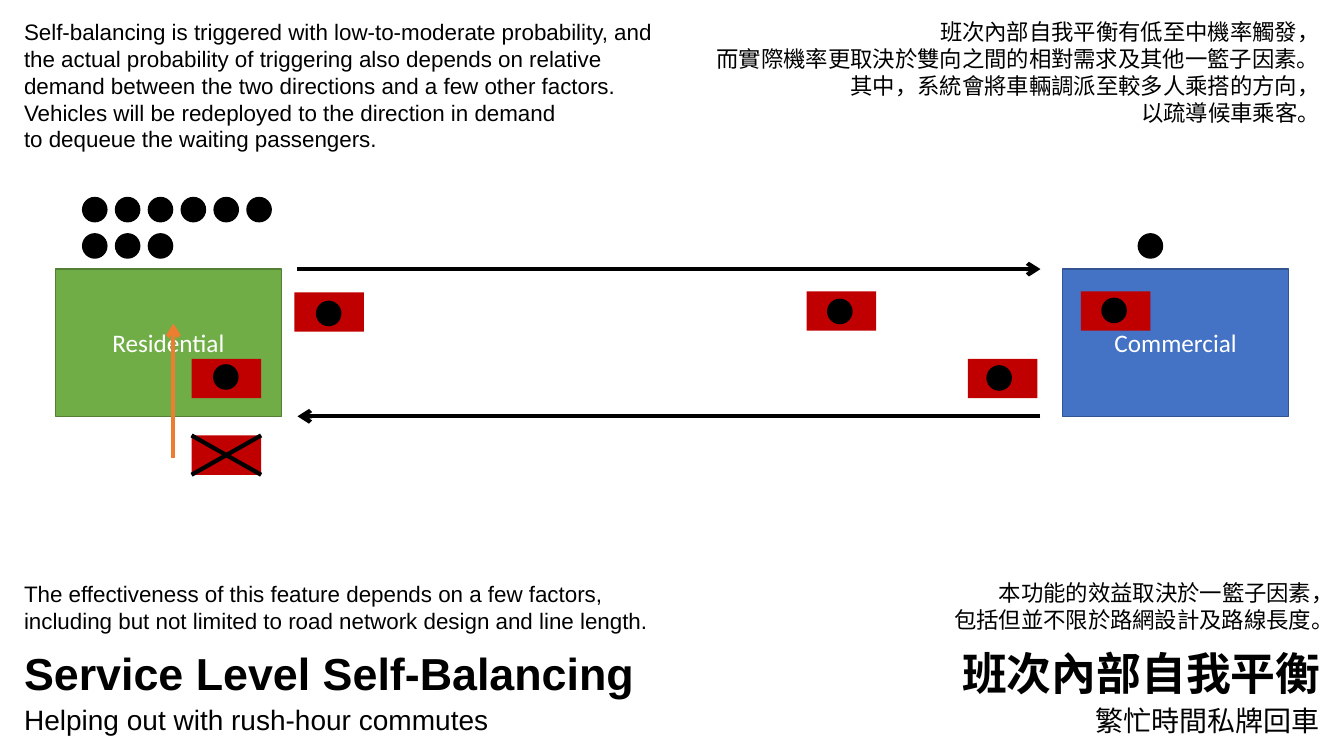
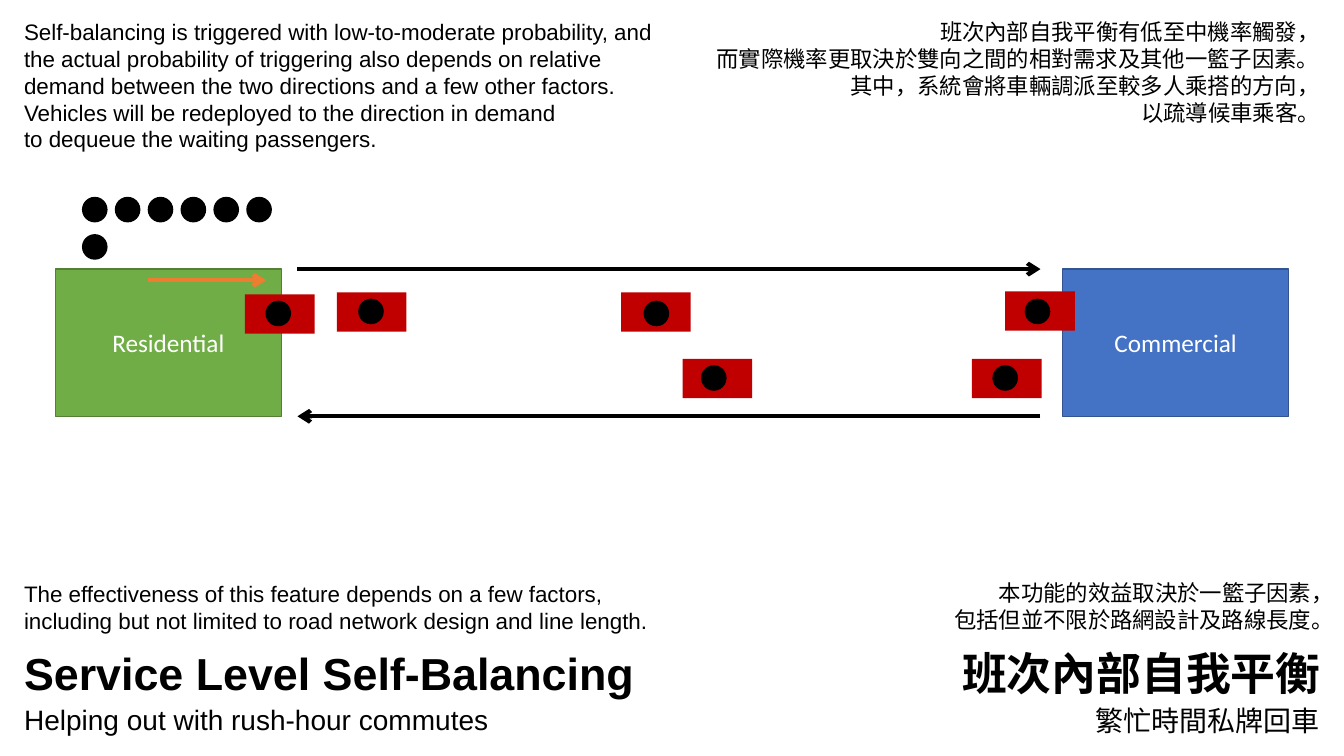
import copy
import pptx
import pptx.util
import pptx.dml.color
import pptx.enum.shapes
import pptx.enum.text
import pptx.oxml
import pptx.oxml.ns

Inches = pptx.util.Inches
Pt = pptx.util.Pt
KIND = pptx.enum.shapes.MSO_SHAPE
ALIGN = pptx.enum.text.PP_ALIGN
ANCHOR = pptx.enum.text.MSO_ANCHOR
COLORS = {"black": "000000", "white": "FFFFFF", "red": "C00000",
          "green": "70AD47", "moss": "538035",
          "blue": "4472C4", "navy": "325491", "orange": "ED7D31"}
RGB = {name: pptx.dml.color.RGBColor.from_string(code) for name, code in COLORS.items()}
LATIN, HAN = "Arial", "Noto Sans CJK TC"
NS = ' xmlns:a="http://schemas.openxmlformats.org/drawingml/2006/main"'
CAR_W, CAR_H, DOT = 0.69, 0.39, 0.24

# Shared text: left, top, width, height, size, bold, font, wording
# "\n" starts a paragraph, "\v" breaks a line
TEXTS = [
    (0.14, 6.36, 6.77, 0.64, 32, True, LATIN, "Service Level Self-Balancing"),
    (0.14, 6.92, 6.77, 0.44, 20, False, LATIN, "Helping out with rush-hour commutes"),
    (6.43, 6.36, 6.77, 0.64, 32, True, HAN, "班次內部自我平衡"),
    (6.42, 6.93, 6.77, 0.44, 20, False, HAN, "繁忙時間私牌回車"),
    (0.14, 0.13, 6.77, 1.45, 16, False, LATIN,
     "Self-balancing is triggered with low-to-moderate probability, and the actual "
     "probability of triggering also depends on relative demand between the two "
     "directions and a few other factors.\n"
     "Vehicles will be redeployed to the direction in demand\v"
     "to dequeue the waiting passengers."),
    (6.42, 0.13, 6.77, 1.18, 16, False, HAN,
     "班次內部自我平衡有低至中機率觸發,\n".replace(",", "\uff0c")
     + "而實際機率更取決於雙向之間的相對需求及其他一籃子因素。\n"
     "其中,系統會將車輛調派至較多人乘搭的方向,\v以疏導候車乘客。".replace(",", "\uff0c")),
    (0.14, 5.71, 6.77, 0.64, 16, False, LATIN,
     "The effectiveness of this feature depends on a few factors,\v"
     "including but not limited to road network design and line length."),
    (6.56, 5.70, 6.77, 0.64, 16, False, HAN,
     "本功能的效益取決於一籃子因素\uff0c\v包括但並不限於路網設計及路線長度。"),
]

# Zones: left, fill, edge, label
ZONES = [(0.55, "green", "moss", "Residential"), (10.54, "blue", "navy", "Commercial")]

# Slides: cars as left, top, rider offset; queue rows as left, top, count
SLIDES = [
    {"cars": [(10.72, 2.89, 0.21, 0.07), (8, 2.89, 0.21, 0.08), (2.92, 2.9, 0.22, 0.09),
              (9.6, 3.56, 0.19, 0.07), (1.9, 3.56, 0.22, 0.06)],
     "queue": [(0.82, 1.96, 6), (0.82, 2.32, 3), (11.29, 2.32, 1)],
     "move": (1.72, 4.54, 1.72, 3.21), "gone": (1.9, 4.32)},
    {"cars": [(9.64, 3.56, 0.21, 0.07), (9.97, 2.89, 0.2, 0.08), (6.16, 2.9, 0.23, 0.09),
              (6.77, 3.56, 0.19, 0.07), (3.34, 2.9, 0.22, 0.07), (2.43, 2.92, 0.21, 0.07)],
     "queue": [(0.82, 1.96, 6), (0.82, 2.33, 1)],
     "move": (1.47, 2.78, 2.64, 2.78), "gone": None},
]


def draw(shapes, kind, x, y, w, h, fill, edge=None):
    shape = shapes.add_shape(kind, Inches(x), Inches(y), Inches(w), Inches(h))
    shape.shadow.inherit = False
    shape.fill.solid()
    shape.fill.fore_color.rgb = RGB[fill]
    if edge:
        shape.line.color.rgb = RGB[edge]
        shape.line.width = Pt(1)
    else:
        shape.line.fill.background()
    return shape


def rule(shapes, x1, y1, x2, y2, color, arrow=True):
    line = shapes.add_connector(pptx.enum.shapes.MSO_CONNECTOR.STRAIGHT,
                                Inches(x1), Inches(y1), Inches(x2), Inches(y2))
    line.line.color.rgb = RGB[color]
    line.line.width = Pt(3)
    if arrow:
        line.line._get_or_add_ln().append(
            pptx.oxml.parse_xml("<a:tailEnd" + NS + ' type="arrow"/>'))
    line._element.spPr.append(pptx.oxml.parse_xml("<a:effectLst" + NS + "/>"))


deck = pptx.Presentation()
deck.slide_width, deck.slide_height = Inches(13.33), Inches(7.5)

for plan in SLIDES:
    shapes = deck.slides.add_slide(deck.slide_layouts[6]).shapes

    # Zones
    for x, fill, edge, label in ZONES:
        zone = draw(shapes, KIND.RECTANGLE, x, 2.67, 2.24, 1.46, fill, edge)
        zone.text_frame.text = label
        zone.text_frame.vertical_anchor = ANCHOR.MIDDLE
        para = zone.text_frame.paragraphs[0]
        para.alignment = ALIGN.CENTER
        font = para.runs[0].font
        font.name, font.size, font.color.rgb = "Calibri", Pt(18), RGB["white"]

    # Both directions of the line, and the redeployment
    rule(shapes, 2.95, 2.67, 10.32, 2.67, "black")
    rule(shapes, 10.32, 4.13, 2.95, 4.13, "black")
    rule(shapes, *plan["move"], "orange")

    # Waiting passengers
    for x, y, count in plan["queue"]:
        for i in range(count):
            draw(shapes, KIND.OVAL, x + i * 0.326, y, DOT, DOT, "black", "black")

    # Vehicles with a rider
    for x, y, dx, dy in plan["cars"]:
        car = shapes.add_group_shape().shapes
        draw(car, KIND.RECTANGLE, x, y, CAR_W, CAR_H, "red")
        draw(car, KIND.OVAL, x + dx, y + dy, DOT, DOT, "black", "black")

    # Vehicle taken off its run
    if plan["gone"]:
        x, y = plan["gone"]
        car = shapes.add_group_shape().shapes
        draw(car, KIND.RECTANGLE, x, y, CAR_W, CAR_H, "red")
        rule(car, x + CAR_W, y, x, y + CAR_H, "black", False)
        rule(car, x + CAR_W, y + CAR_H, x, y, "black", False)

    # Text in both languages
    for x, y, w, h, size, bold, face, words in TEXTS:
        frame = shapes.add_textbox(Inches(x), Inches(y), Inches(w), Inches(h)).text_frame
        frame.word_wrap = True
        frame.auto_size = pptx.enum.text.MSO_AUTO_SIZE.SHAPE_TO_FIT_TEXT
        frame.text = words
        for para in frame.paragraphs:
            para.alignment = ALIGN.RIGHT if face == HAN else ALIGN.LEFT
            for run in para.runs:
                font = run.font
                font.name, font.size, font.bold = face, Pt(size), bold
                font.color.rgb = RGB["black"]
                props = run._r.get_or_add_rPr()
                props.append(pptx.oxml.parse_xml(f'<a:ea{NS} typeface="{face}"/>'))
            for gap in para._p.findall(pptx.oxml.ns.qn("a:br")):
                gap.append(copy.deepcopy(props))

deck.save("out.pptx")
